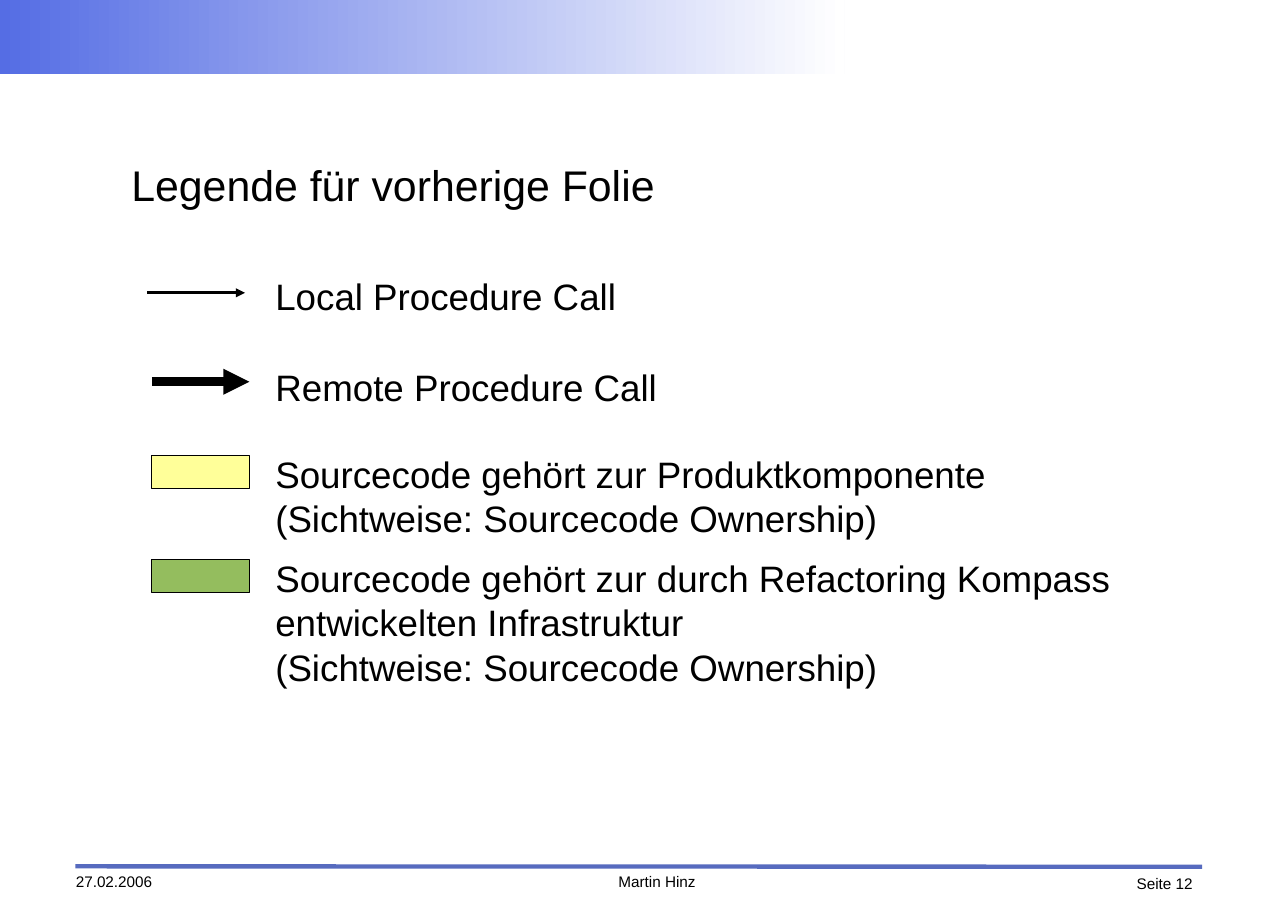
from lxml import etree
from pptx import Presentation
from pptx import util as u
from pptx.dml.color import RGBColor
from pptx.enum import shapes, text
from pptx.oxml import ns

# Content
TITLE = "Legende für vorherige Folie"
DATE, AUTHOR, PAGE_NUMBER = "27.02.2006", "Martin Hinz", "Seite 12"

BLACK = RGBColor(0x00, 0x00, 0x00)
WHITE = RGBColor(0xFF, 0xFF, 0xFF)
BAND_BLUE = RGBColor(0x55, 0x6D, 0xE4)
RULE_BLUE = RGBColor(0x57, 0x6B, 0xBF)
YELLOW = RGBColor(0xFF, 0xFF, 0x99)
GREEN = RGBColor(0x94, 0xBD, 0x5E)

# Arrows: left, y, line width in points, label top, label
ARROWS = [
    (3.4, 6.75, 0, 6.3, ["Local Procedure Call"]),
    (3.5, 8.8, 5.67, 8.4, ["Remote Procedure Call"]),
]
# Swatches: colour, top, label paragraphs
SWATCHES = [
    (YELLOW, 10.5, ["Sourcecode gehört zur Produktkomponente",
                    "(Sichtweise: Sourcecode Ownership)"]),
    (GREEN, 12.9, ["Sourcecode gehört zur durch Refactoring Kompass",
                   "entwickelten Infrastruktur\v(Sichtweise: Sourcecode Ownership)"]),
]

# Layout in centimetres
KEY_LEFT, KEY_WIDTH, KEY_HEIGHT = 3.5, 2.25, 0.76
LABEL_LEFT, LABEL_WIDTH, LABEL_LINE = 6.35, 20.7, 0.95
LABEL_RISE = 0.1
FOOTER_TOP, FOOTER_HEIGHT = 20.1, 0.5

deck = Presentation()
deck.slide_width, deck.slide_height = u.Cm(29.7), u.Cm(21)
page = deck.slides.add_slide(deck.slide_layouts[6])


def add_text(lines, left, top, width, height, size=24, align=text.PP_ALIGN.LEFT,
             anchor=text.MSO_ANCHOR.TOP, spacing=None):
    box = page.shapes.add_textbox(u.Cm(left), u.Cm(top), u.Cm(width), u.Cm(height))
    frame = box.text_frame
    frame.word_wrap = True
    frame.vertical_anchor = anchor
    frame.margin_left = frame.margin_right = frame.margin_top = frame.margin_bottom = 0
    for number, line in enumerate(lines):
        para = frame.add_paragraph() if number else frame.paragraphs[0]
        para.text = line
        para.alignment = align
        if spacing:
            para.line_spacing = u.Pt(spacing)
        for span in para.runs:
            span.font.name, span.font.size = "Arial", u.Pt(size)
            span.font.color.rgb = BLACK


def add_label(lines, top):
    count = sum(line.count("\v") + 1 for line in lines)
    add_text(lines, LABEL_LEFT, top, LABEL_WIDTH, count * LABEL_LINE, spacing=29)


def add_line(left, top, right, bottom, color, width, arrow=False):
    line = page.shapes.add_connector(shapes.MSO_CONNECTOR.STRAIGHT, u.Cm(left), u.Cm(top),
                                     u.Cm(right), u.Cm(bottom))
    line.line.color.rgb, line.line.width = color, u.Pt(width)
    if arrow:
        outline = line.line._get_or_add_ln()
        etree.SubElement(outline, ns.qn("a:tailEnd"), type="triangle")
    etree.SubElement(line._element.spPr, ns.qn("a:effectLst"))


def add_rectangle(left, top, width, height):
    rectangle = page.shapes.add_shape(shapes.MSO_SHAPE.RECTANGLE, u.Cm(left), u.Cm(top),
                                      u.Cm(width), u.Cm(height))
    rectangle.shadow.inherit = False
    return rectangle


# Header band
band = add_rectangle(0, 0, 19.48, 1.7)
band.line.fill.background()
band.fill.gradient()
band.fill.gradient_angle = 0
for stop, color in zip(band.fill.gradient_stops, (BAND_BLUE, WHITE)):
    stop.color.rgb = color

# Footer
add_line(1.74, 19.97, 27.72, 19.98, RULE_BLUE, 2.83)
add_text([PAGE_NUMBER], 25.5, FOOTER_TOP + 0.06, 2, FOOTER_HEIGHT, size=10,
         align=text.PP_ALIGN.RIGHT)
add_text([DATE], 1.75, FOOTER_TOP, 3, FOOTER_HEIGHT, size=10)
add_text([AUTHOR], 13.1, FOOTER_TOP, 4.1, FOOTER_HEIGHT, size=10, align=text.PP_ALIGN.CENTER)

# Title
add_text([TITLE], 3.03, 2.5, 23.65, 3.48, size=28, anchor=text.MSO_ANCHOR.MIDDLE)

# Legend
for left, y, width, label_top, lines in ARROWS:
    add_line(left, y, left + KEY_WIDTH, y, BLACK, width, arrow=True)
    add_label(lines, label_top)
for color, top, lines in SWATCHES:
    swatch = add_rectangle(KEY_LEFT, top, KEY_WIDTH, KEY_HEIGHT)
    swatch.fill.solid()
    swatch.fill.fore_color.rgb = color
    swatch.line.color.rgb, swatch.line.width = BLACK, u.Pt(0)
    add_label(lines, top - LABEL_RISE)

deck.save("out.pptx")
